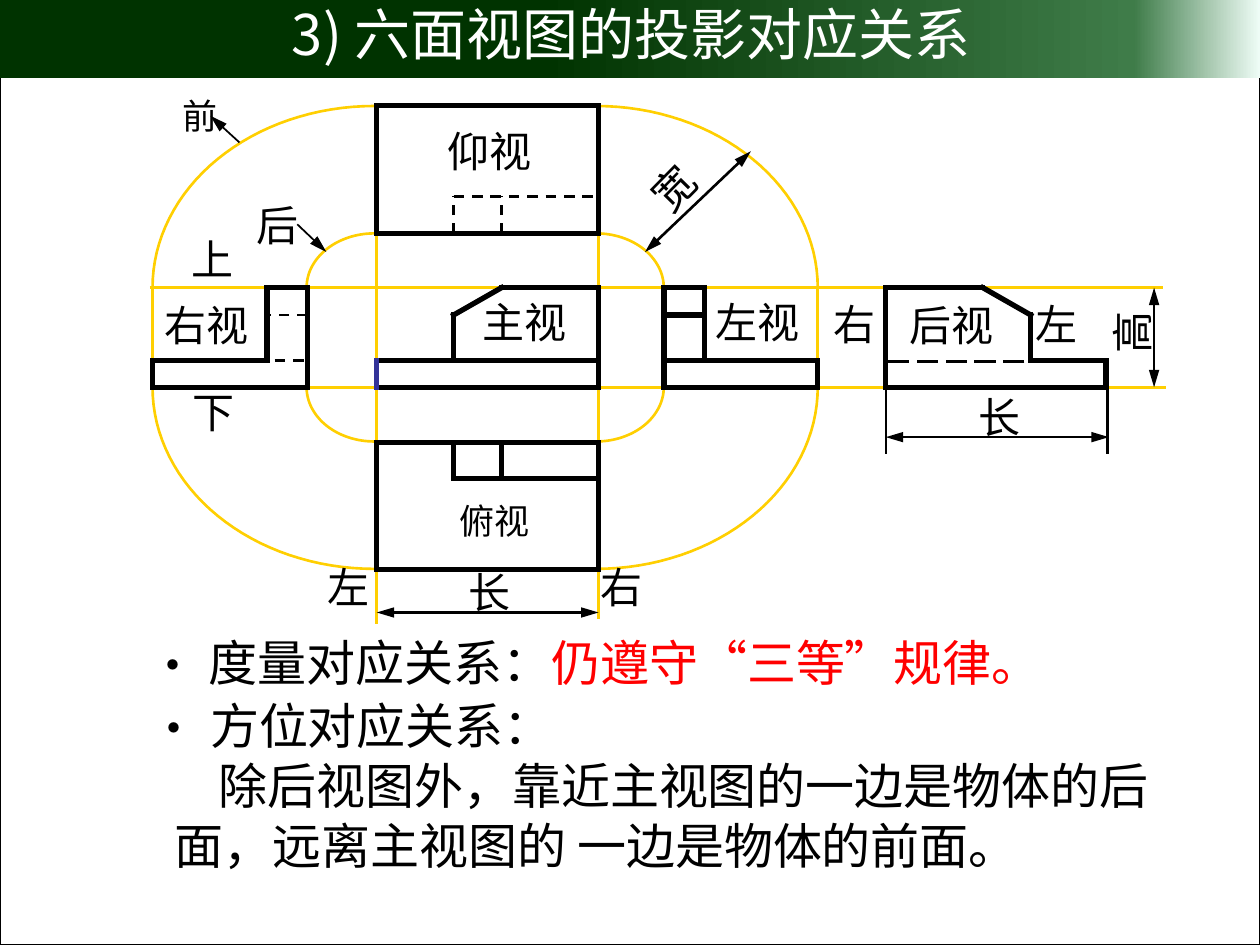
from copy import deepcopy
from math import cos, pi, sin

from lxml import etree
from pptx import Presentation
from pptx.dml.color import RGBColor
from pptx.enum.dml import MSO_LINE
from pptx.enum.shapes import MSO_CONNECTOR, MSO_SHAPE
from pptx.enum.text import MSO_ANCHOR
from pptx.oxml.ns import qn
from pptx.util import Pt

STRAIGHT, RECT = MSO_CONNECTOR.STRAIGHT, MSO_SHAPE.RECTANGLE
DASH, LONG_DASH, MIDDLE = MSO_LINE.DASH, MSO_LINE.LONG_DASH, MSO_ANCHOR.MIDDLE

THEME = dict(
    black="000000", white="FFFFFF", red="FF0000", gold="FFCF01", blue="333399",
    bar=[(0.43, "003300"), (0.9, "3F7C49"), (1, "EEFCF6")],
    cjk="Noto Sans CJK SC", label="Karla",
    title=32, body=28, view=24, small=20,
    thick=3, medium=1.5, thin=1, frame=0.75,
)
T = THEME

# Projection grid: columns and rows shared by the six views
R1, R2, R3 = 87.1, 152.6, 175.7                  # right view
F1, F2, F3, F4 = 215.3, 259.2, 286.6, 342        # front, top and bottom views
L1, L2, L3 = 379.4, 402.5, 467.3                 # left view
B1, B2, B3, B4 = 506.2, 561.6, 589, 632          # rear view
U1, U2, U3 = 60.5, 112.3, 133.5                  # bottom view, at the top
M1, M2, M3, M4 = 164.4, 180, 206, 221.3          # middle row
D1, D2, D3 = 252.7, 273.6, 325.4                 # top view, at the bottom
C1, C2 = 213.9, 340.6                            # arc centres

# Segments: x1, y1, x2, y2
PROJECTORS = [
    (L3, M1, L3, M4), (R1, M4, R1, M1),
    (F1, 131, F1, 356.4), (F4, 353.5, F4, 133.2),
    (85.7, M1, 664.6, M1), (88.6, M4, 666, M4),
]
UNDERLINES = [(C1, y, C2, y) for y in (U1, U3, D1, D3)] + [
    (x, M1, x, M4) for x in (L1, R3)]
VIEWS = {
    "bottom": [(F1, U3, F4, U3), (F4, U3, F4, U1), (F4, U1, F1, U1), (F1, U1, F1, U3)],
    "top": [(F1, D1, F4, D1), (F4, D1, F4, D3), (F4, D3, F1, D3), (F1, D3, F1, D1),
            (F2, D2, F4, D2), (F2, D1, F2, D2), (F3, D1, F3, D2)],
    "left": [(L1, M4, L3, M4), (L1, M3, L3, M3), (L3, M3, L3, M4), (L1, M4, L1, M1),
             (L1, M1, L2, M1), (L2, M1, L2, M3), (L1, M2, L2, M2)],
    "right": [(R1, M3, R1, M4), (R3, M4, R1, M4), (R2, M3, R1, M3), (R3, M4, R3, M1),
              (R3, M1, R2, M1), (R2, M1, R2, M3)],
    "rear": [(B4, M4, B1, M4), (B4, M4, B4, M3), (B1, M4, B1, M1), (B3, M3, B3, M2),
             (B1, M1, B2, M1), (B3, M2, B2, M1), (B3, M3, B4, M3)],
    "front": [(F1, M4, F4, M4), (F1, M3, F4, M3), (F4, M4, F4, M1), (F2, M3, F2, M2),
              (F4, M1, F3, M1), (F2, M2, F3, M1)],
}
HIDDEN = [(F2, U2, F4, U2), (F2, U3, F2, U2), (F3, U3, F3, U2),
          (R3, M2, R2, M2), (157, M3, R3, M3)]
DIMENSIONS = [(F1, 350, F4, 350), (659.5, M1, 659.5, M4),
              (368.6, 144, 429.1, 86.4), (B1, 249.8, 633.6, 249.8)]
EXTENSIONS = [(x, 219.6, x, 259.2) for x in (B1, 632.9)]
POINTERS = [(136.8, 81.4, 120.2, 66.2), (169.9, 128.2, 186.5, 144)]

# Labels: text, left, top, width, height, size, rotation
LABELS = [
    ("长", 260.6, 320.4, 38.2, 36, T["view"], 0),
    ("高", 627.8, 172.1, 38.2, 36, T["view"], 270),
    ("宽", 365.8, 89.3, 38.2, 36, T["view"], 314.5),
    ("上", 102.2, 129.6, 38.9, 36, T["view"], 0),
    ("下", 103, 217.4, 38.9, 36, T["view"], 0),
    ("左", 180, 317.5, 38.9, 36, T["view"], 0),
    ("右", 336.2, 317.5, 38.9, 36, T["view"], 0),
    ("前", 97.2, 50.4, 34.6, 31, T["small"], 0),
    ("后", 139.7, 110.2, 38.9, 36, T["view"], 0),
    ("右", 469.4, 167, 38.9, 36, T["view"], 0),
    ("长", 552.2, 220.3, 38.2, 36, T["view"], 0),
    ("左", 584.6, 167, 38.9, 36, T["view"], 0),
    ("后视", 512.6, 167.8, 62.6, 36, T["view"], 0),
    ("仰视", 248.4, 68.4, 62.6, 36, T["view"], 0),
    ("俯视", 255.6, 282.2, 54.7, 31, T["small"], 0),
    ("左视", 401.8, 165.6, 69.1, 36, T["view"], 0),
    ("右视", 87.1, 167.8, 62.6, 36, T["view"], 0),
    ("主视", 268.6, 165.6, 69.1, 36, T["view"], 0),
]
TITLE = "3) 六面视图的投影对应关系"
MEASURE = [("度量对应关系：", T["black"]), ("仍遵守“三等”规律。", T["red"])]
DIRECTION = "方位对应关系："
EXPLANATION = "除后视图外，靠近主视图的一边是物体的后面，远离主视图的 一边是物体的前面。"


def rgb(value):
    return RGBColor.from_string(value)


def add_text(s, text, box, *, size, font=T["cjk"], color=T["black"], rotation=0,
             wrap=False, bullet=False, indent=0, spacing=None):
    """Add a one-paragraph box; text is a string or a list of (text, colour)."""
    sp = s.shapes.add_textbox(*map(Pt, box))
    sp.rotation = rotation
    tf = sp.text_frame
    tf.word_wrap, tf.vertical_anchor = wrap, MIDDLE
    tf.margin_top = tf.margin_bottom = 0
    p = tf.paragraphs[0]
    if spacing:
        p.line_spacing = Pt(spacing)
    pPr = p._p.get_or_add_pPr()
    if bullet:
        pPr.set("marL", str(Pt(34.5)))
        pPr.set("indent", str(-Pt(34.5)))
        etree.SubElement(pPr, qn("a:buFont")).set("typeface", font)
        etree.SubElement(pPr, qn("a:buChar")).set("char", "•")
    elif indent:
        pPr.set("indent", str(Pt(indent)))
    for part, tone in [(text, color)] if isinstance(text, str) else text:
        r = p.add_run()
        r.text = part
        r.font.size, r.font.name = Pt(size), font
        r.font.color.rgb = rgb(tone)
        etree.SubElement(r._r.get_or_add_rPr(), qn("a:ea")).set("typeface", font)


def add_line(s, ends, width, color=T["black"], dash=None, heads=()):
    sp = s.shapes.add_connector(STRAIGHT, *map(Pt, ends))
    sp.line.width, sp.line.color.rgb = Pt(width), rgb(color)
    if dash:
        sp.line.dash_style = dash
    ln = sp.line._get_or_add_ln()
    if width == T["thick"]:
        ln.set("cap", "sq")
    for tag in heads:
        etree.SubElement(ln, qn(tag), type="triangle", w="med", len="lg")
    etree.SubElement(sp._element.spPr, qn("a:effectLst"))


def add_quarter_arc(s, cx, cy, rx, ry, steps=32):
    """Draw a quarter ellipse; the signs of rx and ry choose the quadrant."""
    points = [(Pt(cx + rx * sin(a)), Pt(cy + ry * cos(a)))
              for a in (pi / 2 * i / steps for i in range(steps + 1))]
    builder = s.shapes.build_freeform(*points[0], scale=1.0)
    builder.add_line_segments(points[1:], close=False)
    sp = builder.convert_to_shape()
    sp.shadow.inherit = False
    sp.fill.background()
    sp.line.width, sp.line.color.rgb = Pt(T["medium"]), rgb(T["gold"])


def add_background(s):
    frame = s.shapes.add_shape(RECT, 0, 0, Pt(720), Pt(540))
    frame.shadow.inherit = False
    frame.fill.background()
    frame.line.width, frame.line.color.rgb = Pt(T["frame"]), rgb(T["black"])
    bar = s.shapes.add_shape(RECT, 0, Pt(-1.4), Pt(720), Pt(46))
    bar.shadow.inherit = False
    bar.line.fill.background()
    bar.fill.gradient()
    bar.fill.gradient_angle = 0
    stops = bar._element.spPr.find(qn("a:gradFill")).find(qn("a:gsLst"))
    stops.append(deepcopy(stops[-1]))
    for stop, (position, color) in zip(bar.fill.gradient_stops, T["bar"]):
        stop.position, stop.color.rgb = position, rgb(color)


def main():
    prs = Presentation()
    prs.slide_width, prs.slide_height = Pt(720), Pt(540)
    s = prs.slides.add_slide(prs.slide_layouts[6])
    add_background(s)

    # Projection arcs and lines
    for cy, down in ((M1, -1), (M4, 1)):
        for cx, side in ((C1, -1), (C2, 1)):
            for rx, ry in ((38.7, 31), (126.7, 103.8)):
                add_quarter_arc(s, cx, cy, side * rx, down * ry)
    for ends in PROJECTORS:
        add_line(s, ends, T["medium"], T["gold"])

    # Six views
    for ends in UNDERLINES:
        add_line(s, ends, T["thin"])
    for edges in VIEWS.values():
        for ends in edges:
            add_line(s, ends, T["thick"])
    for ends in HIDDEN:
        add_line(s, ends, T["medium"], dash=DASH)
    add_line(s, (585.4, 206.6, 504.7, 206.6), T["medium"], dash=LONG_DASH)
    add_line(s, (F1, M3, F1, M4), T["thick"], T["blue"])

    # Dimensions and pointers
    for ends in DIMENSIONS:
        add_line(s, ends, T["medium"], heads=("a:headEnd", "a:tailEnd"))
    for ends in EXTENSIONS:
        add_line(s, ends, T["medium"])
    for ends in POINTERS:
        add_line(s, ends, T["thin"], heads=("a:tailEnd",))

    # Text
    for text, *box, size, rotation in LABELS:
        add_text(s, text, box, size=size, font=T["label"], rotation=rotation)
    add_text(s, TITLE, (159.8, -3.6, 429.8, 45.4), size=T["title"],
             color=T["white"], wrap=True)
    add_text(s, MEASURE, (77.8, 357.8, 568.8, 41), size=T["body"], wrap=True, bullet=True)
    add_text(s, DIRECTION, (78.5, 393.8, 250, 41), size=T["body"], wrap=True, bullet=True)
    add_text(s, EXPLANATION, (92.9, 428.5, 596.9, 74.2), size=T["body"], wrap=True,
             indent=25, spacing=34)
    prs.save("out.pptx")


if __name__ == "__main__":
    main()
